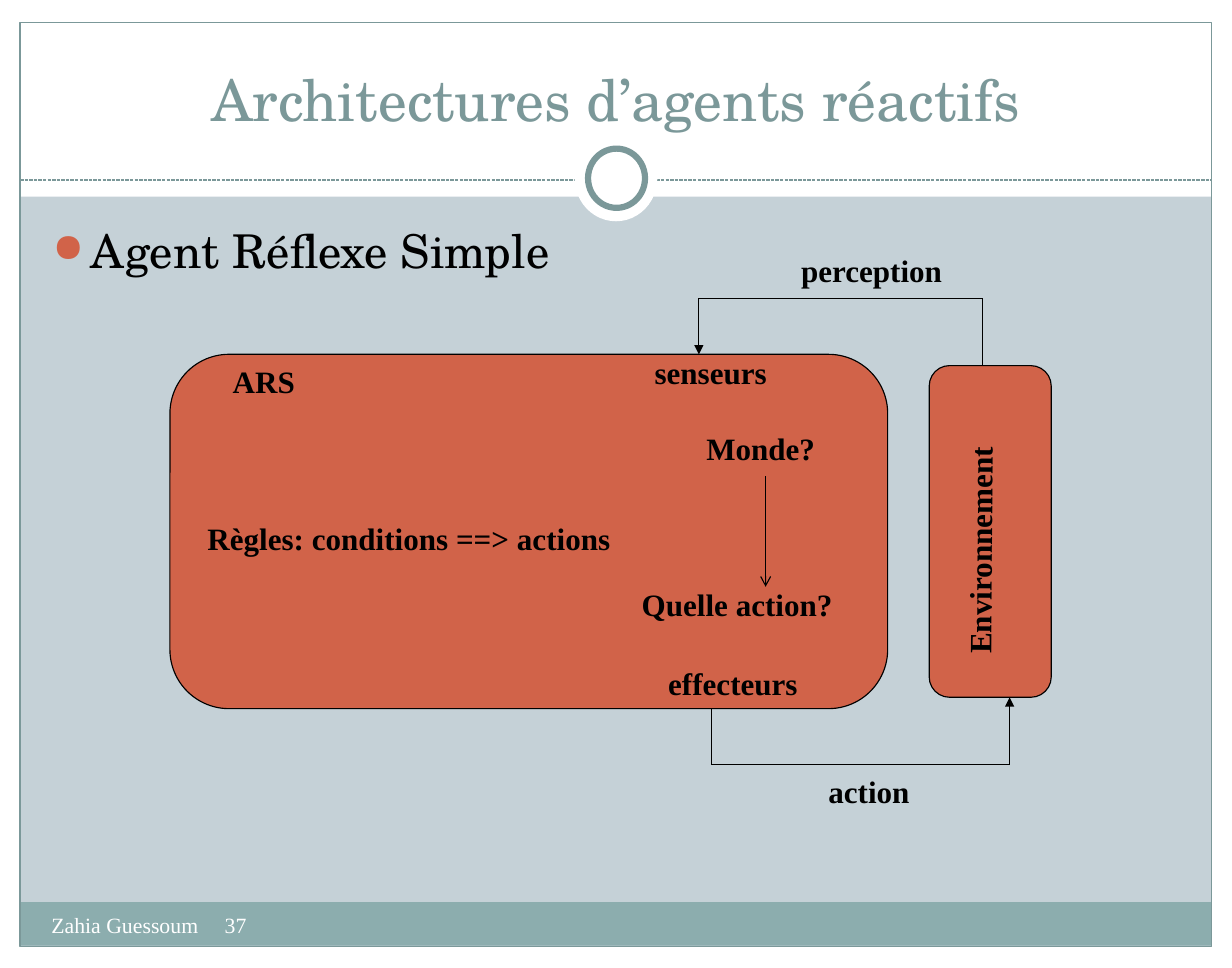
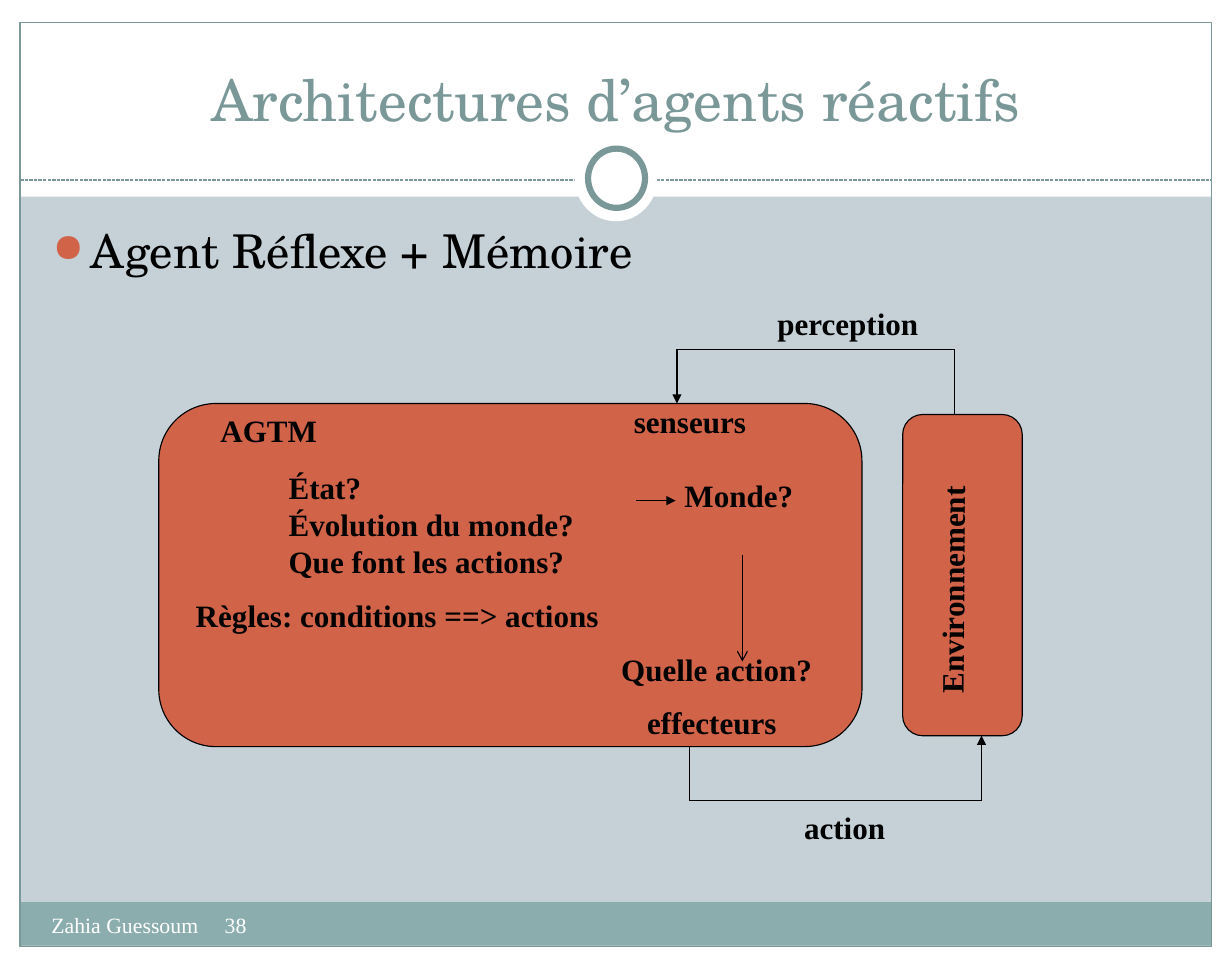
from dataclasses import dataclass
from itertools import pairwise

from lxml.etree import SubElement
from pptx import Presentation
from pptx.dml.color import RGBColor
from pptx.enum.dml import MSO_LINE_DASH_STYLE as Dash
from pptx.enum.shapes import MSO_CONNECTOR as Connector, MSO_SHAPE as Shape
from pptx.enum.text import MSO_ANCHOR as Anchor, MSO_AUTO_SIZE as AutoSize, PP_ALIGN as Align
from pptx.oxml.ns import qn
from pptx.util import Inches, Pt


@dataclass(frozen=True)
class Theme:
    """Colours, fonts, type sizes and page measures shared by the slides."""
    paper: str = "C5D1D7"
    white: str = "FFFFFF"
    ink: str = "000000"
    slate: str = "7B9899"
    footer_band: str = "8CADAE"
    accent: str = "D16349"
    heading_font: str = "TeX Gyre Schola"
    text_font: str = "Times New Roman"
    title_size: float = 37
    topic_size: float = 30
    label_size: float = 20
    footer_size: float = 14
    thin: float = 0.75
    width: float = 11.02
    height: float = 8.66
    margin: float = 0.18
    corner: float = 0.167
    label_height: float = 0.44


THEME = Theme()
PAGE_INSETS = (0.11, 0.06)
LABEL_INSETS = (0.1, 0.05)


@dataclass(frozen=True)
class Agent:
    """An agent's body box, with heights inside it in percent of the body."""
    topic: str
    page: int
    name: str
    name_width: float
    body: tuple
    rules_top: float
    question_top: float
    arrow: tuple
    memory: tuple = ()

    def point(self, across, down):
        """Turn percentages of the body into inches on the slide."""
        left, top, width, height = self.body
        return left + width * across / 100, top + height * down / 100


AGENTS = (
    Agent("Agent Réflexe Simple", 37, "ARS", 0.75, (1.52, 3.17, 6.42, 3.17),
          45.1, 63.7, (34.4, 65.6)),
    Agent("Agent Réflexe + Mémoire", 38, "AGTM", 1.06, (1.42, 3.61, 6.29, 3.07),
          54.7, 70.4, (44, 75.2),
          ("État?", "Évolution du monde?", "Que font les actions?")),
)


def color(value):
    """Return a colour object for an RRGGBB string."""
    return RGBColor.from_string(value)


def apply(target, values):
    """Set each named attribute on the target."""
    for name, value in values.items():
        setattr(target, name, value)


def add_box(slide, kind, box, fill=None, line=None, weight=THEME.thin):
    """Draw a preset shape with an optional fill and outline."""
    shape = slide.shapes.add_shape(kind, *map(Inches, box))
    shape.shadow.inherit = False
    if fill:
        shape.fill.solid()
        shape.fill.fore_color.rgb = color(fill)
    else:
        shape.fill.background()
    if line:
        shape.line.color.rgb = color(line)
        shape.line.width = Pt(weight)
    else:
        shape.line.fill.background()
    return shape


def add_rounded(slide, box):
    """Draw an accent-coloured box with rounded corners."""
    shape = add_box(slide, Shape.ROUNDED_RECTANGLE, box, THEME.accent, THEME.ink)
    shape.adjustments[0] = THEME.corner


def add_line(slide, start, end, tone=THEME.ink, head=None):
    """Draw a straight connector, with an arrowhead at its end if named."""
    line = slide.shapes.add_connector(Connector.STRAIGHT, *map(Inches, (*start, *end)))
    line.line.color.rgb = color(tone)
    line.line.width = Pt(THEME.thin)
    if head:
        SubElement(line.line._get_or_add_ln(), qn("a:tailEnd"), type=head)
    SubElement(line.element.spPr, qn("a:effectLst"))
    return line


def add_route(slide, points):
    """Join points by connectors and put an arrowhead on the last one."""
    for start, end in pairwise(points):
        add_line(slide, start, end, head="triangle" if end == points[-1] else None)


def write(shape, lines, size, font, tone, bold=False, align=Align.LEFT,
          anchor=Anchor.TOP, wrap=True, insets=PAGE_INSETS):
    """Fill a shape's text frame with one styled paragraph per line."""
    frame = shape.text_frame
    side, edge = map(Inches, insets)
    apply(frame, {"word_wrap": wrap, "auto_size": AutoSize.NONE, "vertical_anchor": anchor,
                  "margin_left": side, "margin_right": side,
                  "margin_top": edge, "margin_bottom": edge})
    frame.text = "\n".join(lines)
    for paragraph in frame.paragraphs:
        paragraph.alignment = align
        for run in paragraph.runs:
            apply(run.font, {"size": Pt(size), "name": font, "bold": bold})
            run.font.color.rgb = color(tone)
    return frame.paragraphs[0]


def add_label(slide, place, width, *lines, rotation=0, wrap=False):
    """Add a bold diagram label and turn it if asked."""
    height = THEME.label_height + 0.33 * (len(lines) - 1)
    shape = slide.shapes.add_textbox(*map(Inches, (*place, width, height)))
    write(shape, lines, THEME.label_size, THEME.text_font, THEME.ink,
          bold=True, wrap=wrap, insets=LABEL_INSETS)
    shape.rotation = rotation


def build_frame(slide, layout):
    """Draw the bands, border and ring once and place them on the layout."""
    width, height, margin = THEME.width, THEME.height, THEME.margin
    inner = width - 2 * margin
    for box in ((0, height - 0.19, width, 0.19), (0, 0, width, 1.76),
                (0, 0, margin, height), (width - margin, 0, margin, height)):
        add_box(slide, Shape.RECTANGLE, box, THEME.white)
    add_box(slide, Shape.RECTANGLE, (margin, 8.07, inner, 0.39), THEME.footer_band)
    add_box(slide, Shape.RECTANGLE, (margin, 0.2, inner, 8.27), line=THEME.slate)
    rule = add_line(slide, (margin, 1.61), (width - margin, 1.61), THEME.slate)
    rule.line.dash_style = Dash.SQUARE_DOT
    add_box(slide, Shape.OVAL, (5.14, 1.21, 0.74, 0.77), THEME.white)
    add_box(slide, Shape.OVAL, (5.26, 1.33, 0.51, 0.53), THEME.white, THEME.slate, 4)
    for placeholder in list(layout.placeholders)[1:]:
        layout.shapes.element.remove(placeholder.element)
    for shape in list(slide.shapes):
        if not shape.is_placeholder:
            layout.shapes.element.append(shape.element)


def add_heading(slide, agent):
    """Fill the title, the bulleted topic and the footer."""
    title = slide.shapes.title
    apply(title, {"left": Inches(0.36), "top": Inches(0.29),
                  "width": Inches(10.29), "height": Inches(0.96)})
    write(title, ["Architectures d’agents réactifs"], THEME.title_size,
          THEME.heading_font, THEME.slate, align=Align.CENTER, anchor=Anchor.BOTTOM)

    footer = slide.shapes.add_textbox(*map(Inches, (0.35, 8.1, 3.97, 0.46)))
    paragraph = write(footer, [f"Zahia Guessoum\t{agent.page}"], THEME.footer_size,
                      THEME.text_font, THEME.white)
    tabs = SubElement(paragraph._p.get_or_add_pPr(), qn("a:tabLst"))
    SubElement(tabs, qn("a:tab"), pos=str(Inches(1.55)), algn="l")

    topic = slide.shapes.add_textbox(*map(Inches, (0.36, 1.93, 10.25, 5.78)))
    paragraph = write(topic, [agent.topic], THEME.topic_size, THEME.heading_font, THEME.ink)
    properties = paragraph._p.get_or_add_pPr()
    properties.set("marL", str(Inches(0.34)))
    properties.set("indent", str(Inches(-0.34)))
    bullet_color = SubElement(properties, qn("a:buClr"))
    SubElement(bullet_color, qn("a:srgbClr"), val=THEME.accent)
    SubElement(properties, qn("a:buSzPct"), val="85000")
    SubElement(properties, qn("a:buChar"), char="●")


def add_diagram(slide, agent):
    """Draw the agent, its environment, their exchanges and the labels."""
    point = agent.point
    left, top = point(105.8, 3.2)
    right, bottom = point(122.8, 96.8)
    add_rounded(slide, agent.body)
    add_rounded(slide, (left, top, right - left, bottom - top))

    perception = ((113.2, 3.2), (113.2, -15.8), (73.7, -15.8), (73.7, 0))
    action = ((75.5, 100), (75.5, 115.8), (117, 115.8), (117, 96.8))
    for route in (perception, action):
        add_route(slide, [point(*corner) for corner in route])

    for text, across, down, width in (
        ("action", 90.2, 116.4, 0.92),
        ("perception", 86.4, -30.6, 1.47),
        (agent.name, 7.2, 0.7, agent.name_width),
        ("Règles: conditions ==> actions", 3.7, agent.rules_top, 3.8),
        ("senseurs", 66, -1.8, 1.2),
        ("effecteurs", 67.9, 85.9, 1.36),
        ("Monde?", 73.2, 19.7, 1.17),
        ("Quelle action?", 64.2, agent.question_top, 1.91),
    ):
        add_label(slide, point(across, down), width, text)

    start, end = agent.arrow
    add_line(slide, point(83, start), point(83, end), head="arrow")
    center, middle = point(112.9, 48.6)
    length = agent.body[3] * 0.78
    add_label(slide, (center - length / 2, middle - THEME.label_height / 2), length,
              "Environnement", rotation=270.4, wrap=True)
    if agent.memory:
        add_label(slide, point(16.9, 17.3), 2.75, *agent.memory)
        add_line(slide, point(67.9, 28.3), point(73.5, 28.3), head="triangle")


def main():
    """Build both agent slides and save the presentation."""
    presentation = Presentation()
    apply(presentation, {"slide_width": Inches(THEME.width),
                         "slide_height": Inches(THEME.height)})
    background = presentation.slide_master.background.fill
    background.solid()
    background.fore_color.rgb = color(THEME.paper)
    layout = presentation.slide_layouts[5]
    slides = [presentation.slides.add_slide(layout) for _ in AGENTS]
    build_frame(slides[0], layout)
    for slide, agent in zip(slides, AGENTS):
        add_heading(slide, agent)
        add_diagram(slide, agent)
    presentation.save("out.pptx")


if __name__ == "__main__":
    main()
